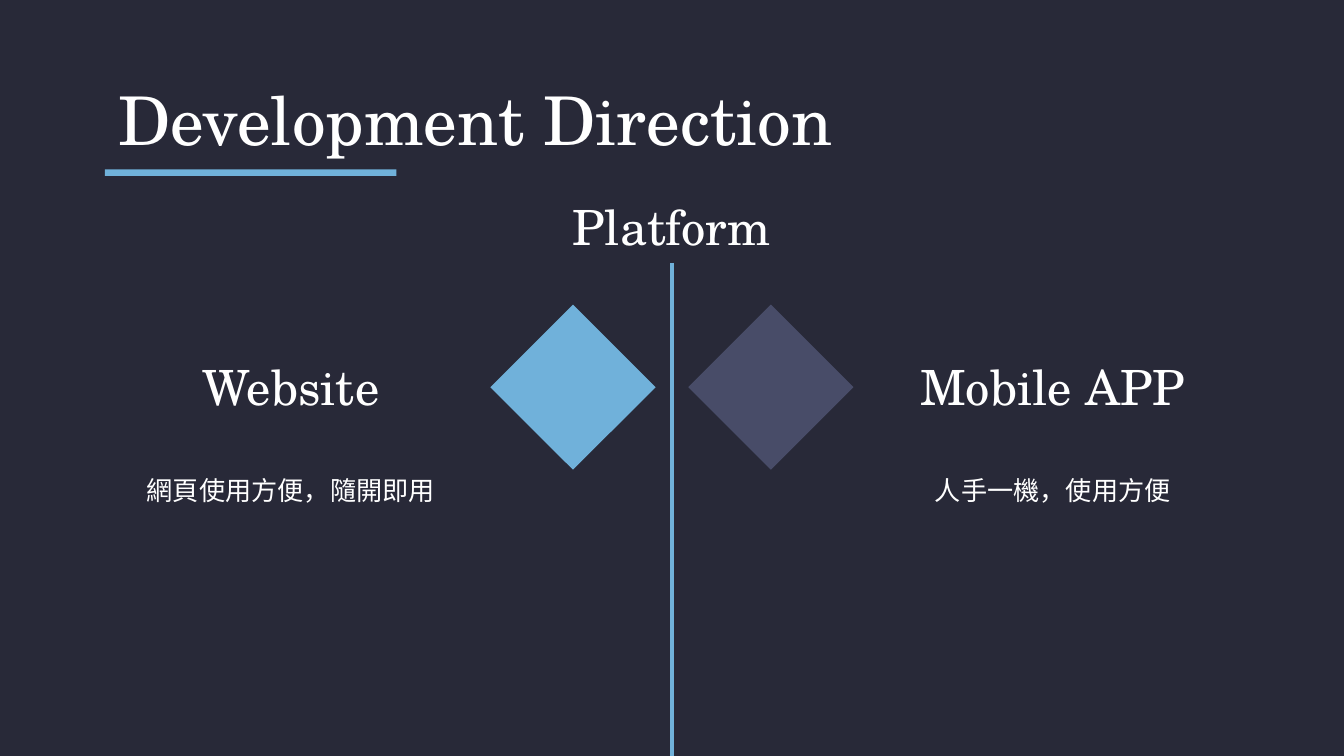
from dataclasses import dataclass

from lxml import etree
from pptx import Presentation
from pptx.dml.color import RGBColor
from pptx.enum.shapes import MSO_CONNECTOR, MSO_SHAPE
from pptx.enum.text import MSO_ANCHOR, PP_ALIGN
from pptx.oxml.ns import qn
from pptx.util import Pt

RECT = MSO_SHAPE.RECTANGLE
ROUND_RECT = MSO_SHAPE.ROUNDED_RECTANGLE
DIAMOND = MSO_SHAPE.DIAMOND
STRAIGHT = MSO_CONNECTOR.STRAIGHT
MIDDLE = MSO_ANCHOR.MIDDLE
LEFT, CENTER = PP_ALIGN.LEFT, PP_ALIGN.CENTER


@dataclass(frozen=True)
class Theme:
    """Colours, fonts and type sizes of the slide."""
    bg: str = "282938"
    text: str = "FFFFFF"
    accent: str = "70B1DA"
    muted: str = "484C68"
    serif: str = "TeX Gyre Schola"
    sans: str = "Noto Sans CJK SC"
    title: int = 36
    heading: int = 26
    body: int = 14


THEME = Theme()
WIDTH, HEIGHT = 720, 405
MARGIN = 56.2
COLUMN = 199.4
HEADING_H = 39.6
BODY_H = 71.3
DIAMOND_SIZE = 88.5
DIAMOND_OFFSET = 53


def rgb(color):
    """Turn a hex string into a colour."""
    return RGBColor.from_string(color)


def points(*box):
    """Turn numbers into lengths in points."""
    return [Pt(v) for v in box]


def write(sp, text, size=THEME.heading, font=THEME.serif, align=CENTER):
    """Write one formatted paragraph in a shape."""
    tf = sp.text_frame
    tf.word_wrap = True
    tf.vertical_anchor = MIDDLE
    tf.margin_left = tf.margin_right = tf.margin_top = tf.margin_bottom = Pt(7.2)
    p = tf.paragraphs[0]
    p.alignment = align
    r = p.add_run()
    r.text = text
    r.font.size = Pt(size)
    r.font.color.rgb = rgb(THEME.text)
    r.font.name = font
    etree.SubElement(r.font._element, qn("a:ea")).set("typeface", font)


def add_shape(slide, kind, box, color=None):
    """Add a flat shape without outline, filled if a colour is given."""
    sp = slide.shapes.add_shape(kind, *points(*box))
    sp.shadow.inherit = False
    sp.line.fill.background()
    if color:
        sp.fill.solid()
        sp.fill.fore_color.rgb = rgb(color)
    else:
        sp.fill.background()
    return sp


def add_heading(slide, box, text):
    """Add a square-cornered heading box."""
    sp = add_shape(slide, ROUND_RECT, box)
    sp.adjustments[0] = 0
    write(sp, text)
    return sp


def add_title(slide, box, text):
    """Place the title and the bar below it."""
    x, y, w, h = box
    add_shape(slide, RECT, (x, y + h + 5.7, 156.2, 3.6), THEME.accent)
    title = slide.shapes.title
    title.left, title.top, title.width, title.height = points(*box)
    write(title, text, size=THEME.title, align=LEFT)


def add_platform(slide, box, text):
    """Place the central heading and the divider running down from it."""
    x, y, w, h = box
    heading = add_heading(slide, box, text)
    mid = x + w / 2
    line = slide.shapes.add_connector(STRAIGHT, *points(mid, y + h, mid, HEIGHT))
    line.begin_connect(heading, 2)
    line.line.color.rgb = rgb(THEME.accent)
    line.line.width = Pt(2.25)
    etree.SubElement(line._element.spPr, qn("a:effectLst"))


def add_option(slide, box, heading, body):
    """Place a heading over its description."""
    x, y, w, h = box
    sp = slide.shapes.add_textbox(*points(x, y + HEADING_H, w, h - HEADING_H))
    write(sp, body, size=THEME.body, font=THEME.sans)
    add_heading(slide, (x, y, w, HEADING_H), heading)


def add_diamonds(slide, center_x, top):
    """Place one diamond on each side of the divider."""
    for side, color in ((-1, THEME.accent), (1, THEME.muted)):
        x = center_x + side * DIAMOND_OFFSET - DIAMOND_SIZE / 2
        add_shape(slide, DIAMOND, (x, top, DIAMOND_SIZE, DIAMOND_SIZE), color)


def main():
    """Build and save the slide."""
    prs = Presentation()
    prs.slide_width, prs.slide_height = points(WIDTH, HEIGHT)
    slide = prs.slides.add_slide(prs.slide_layouts[5])
    slide.background.fill.solid()
    slide.background.fill.fore_color.rgb = rgb(THEME.bg)

    add_title(slide, (MARGIN, 42.5, WIDTH - 2 * MARGIN, 42.5), "Development Direction")
    add_platform(slide, (248.4, 101.3, 223.2, HEADING_H), "Platform")
    options = (
        (WIDTH - MARGIN - COLUMN, "Mobile APP", "人手一機，使用方便"),
        (MARGIN, "Website", "網頁使用方便，隨開即用"),
    )
    for x, heading, body in options:
        add_option(slide, (x, 187.2, COLUMN, HEADING_H + BODY_H), heading, body)
    add_diamonds(slide, WIDTH / 2, 163.2)
    prs.save("out.pptx")


if __name__ == "__main__":
    main()
